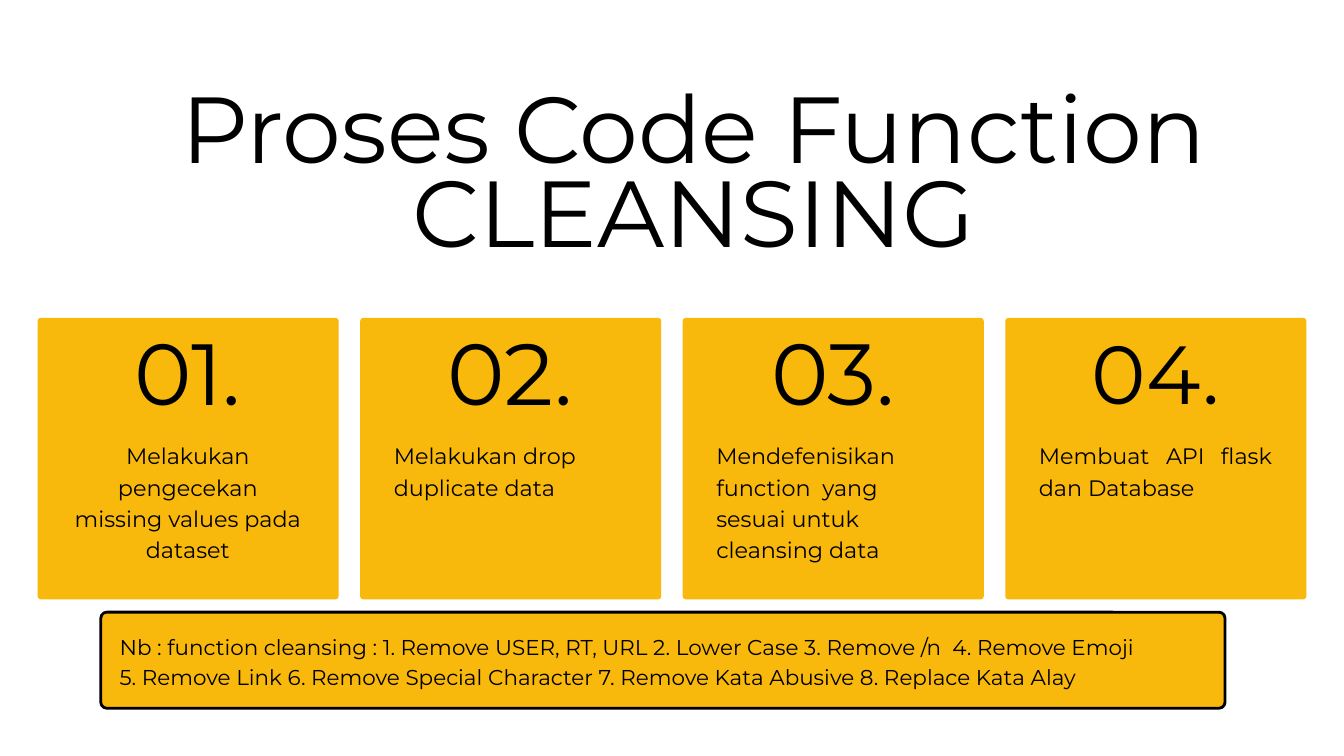
from pptx import Presentation
from pptx.dml.color import RGBColor
from pptx.enum.shapes import MSO_SHAPE
from pptx.enum.text import MSO_ANCHOR, MSO_AUTO_SIZE, PP_ALIGN
from pptx.util import Inches, Pt

LEFT, MID, JUST = PP_ALIGN.LEFT, PP_ALIGN.CENTER, PP_ALIGN.JUSTIFY
ROUND = MSO_SHAPE.ROUNDED_RECTANGLE
FONT = "Montserrat"
COLORS = {"card": "F9B80C", "ink": "000000"}

TITLE = "Proses Code Function CLEANSING"
# number, number size, number top, text, alignment
STEPS = [
    ("01.", 92.9, 5.13, "Melakukan pengecekan missing values pada dataset", MID),
    ("02.", 92.9, 5.13, "Melakukan drop duplicate data", LEFT),
    ("03.", 92.9, 5.13, "Mendefenisikan function  yang sesuai untuk cleansing data", LEFT),
    ("04.", 88.2, 5.16, "Membuat API flask dan Database", JUST),
]
NOTES = [
    "Nb : function cleansing : 1. Remove USER, RT, URL 2. Lower Case 3. Remove /n  4. Remove Emoji",
    "5. Remove Link 6. Remove Special Character 7. Remove Kata Abusive 8. Replace Kata Alay",
]
CARD_X, CARD_Y, CARD_W, CARD_H, STEP = 0.56, 4.73, 4.48, 4.19, 4.8


def color(name):
    return RGBColor.from_string(COLORS[name])


def write(shape, lines, size, lead, align):
    """Fill a shape with lines of text; lead is the exact line spacing in points."""
    frame = shape.text_frame
    frame.text = "\n".join(lines)
    frame.word_wrap = True
    frame.auto_size = MSO_AUTO_SIZE.NONE
    frame.vertical_anchor = MSO_ANCHOR.TOP
    frame.margin_left = frame.margin_right = 0
    frame.margin_top = frame.margin_bottom = 0
    for para in frame.paragraphs:
        para.alignment = align
        para.line_spacing = Pt(lead)
        for run in para.runs:
            run.font.name = FONT
            run.font.size = Pt(size)
            run.font.color.rgb = color("ink")


def add_text(slide, box, *style):
    write(slide.shapes.add_textbox(*map(Inches, box)), *style)


def add_panel(slide, box, radius, line=None):
    panel = slide.shapes.add_shape(ROUND, *map(Inches, box))
    panel.adjustments[0] = radius / min(box[2:])
    panel.shadow.inherit = False
    panel.fill.solid()
    panel.fill.fore_color.rgb = color("card")
    if line:
        panel.line.color.rgb = color("ink")
        panel.line.width = Pt(line)
    else:
        panel.line.fill.background()


def main():
    prs = Presentation()
    prs.slide_width, prs.slide_height = Inches(20), Inches(11.25)
    slide = prs.slides.add_slide(prs.slide_layouts[5])

    title = slide.shapes.title
    title.left, title.top = Inches(2.42), Inches(1.45)
    title.width, title.height = Inches(15.81), Inches(2.6)
    write(title, [TITLE], 100.4, 90.4, MID)

    for i, (num, size, top, text, align) in enumerate(STEPS):
        x = CARD_X + i * STEP
        add_panel(slide, (x, CARD_Y, CARD_W, CARD_H), 0.05)
        add_text(slide, (x + 1.21, top, 2.05, 1.25), [num], size, size * 0.9, MID)
        add_text(slide, (x + 0.5, 6.52, 3.47, 1.87), [text], 23.9, 33.5, align)

    add_panel(slide, (1.5, 9.11, 16.73, 1.43), 0.09, 3)
    add_text(slide, (1.78, 9.37, 15.76, 0.86), NOTES, 23, 32.2, LEFT)
    prs.save("out.pptx")


if __name__ == "__main__":
    main()
